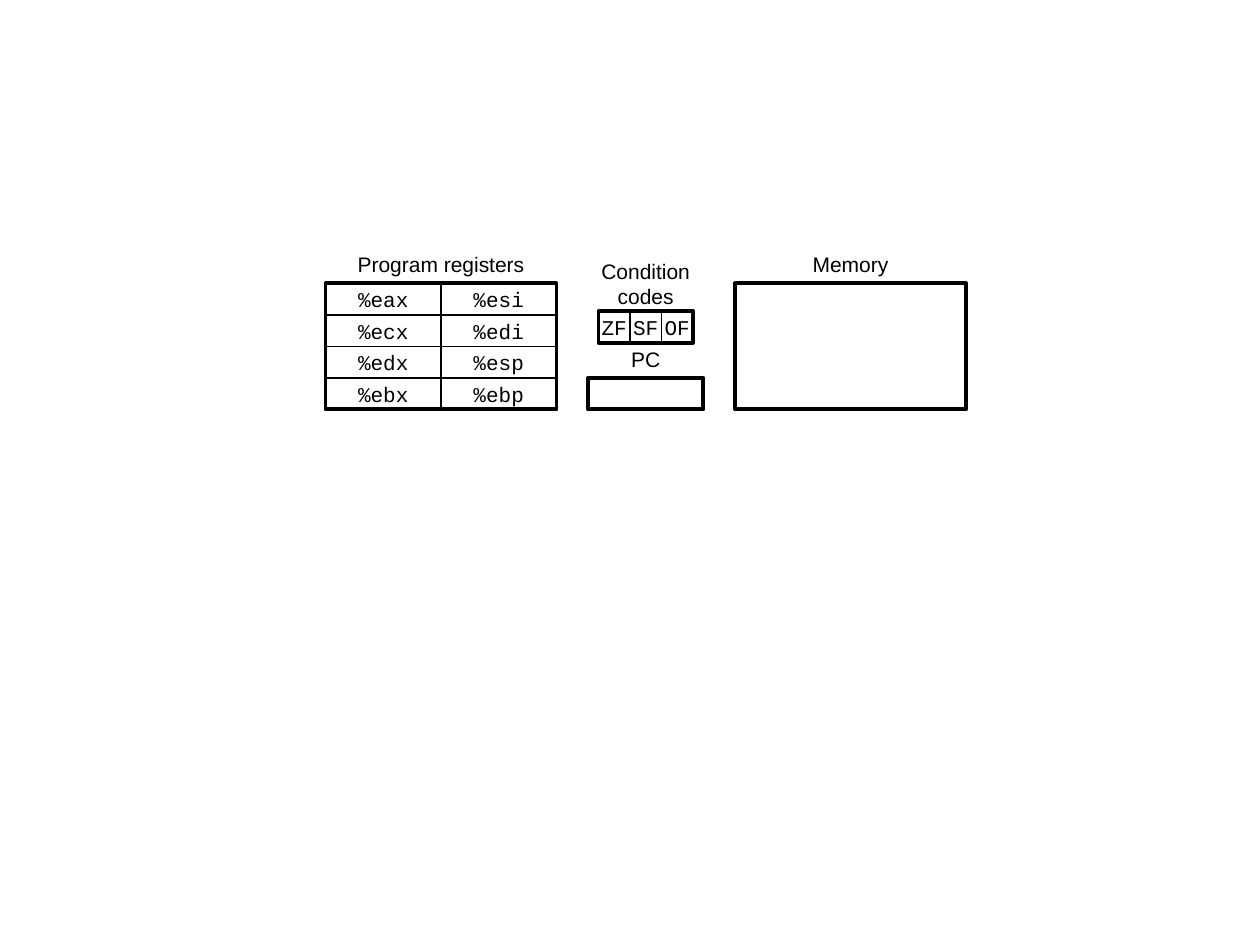
from pptx import Presentation
from pptx.dml.color import RGBColor
from pptx.enum.shapes import MSO_SHAPE
from pptx.enum.text import MSO_ANCHOR, MSO_AUTO_SIZE, PP_ALIGN
from pptx.util import Inches, Pt

COLUMN = 1 / 12
ROW = 1 / 4
LABEL_ROWS = 1.2
BLACK = "000000"
WHITE = "FFFFFF"
REGISTERS = [["%eax", "%ecx", "%edx", "%ebx"], ["%esi", "%edi", "%esp", "%ebp"]]
CONDITION_CODES = [["ZF"], ["SF"], ["OF"]]


def color(hex_code):
    """Turn a hex string into a colour."""
    return RGBColor.from_string(hex_code)


def area(column, row, columns, rows):
    """Turn grid units into left, top, width and height."""
    return (Inches(column * COLUMN), Inches(row * ROW),
            Inches(columns * COLUMN), Inches(rows * ROW))


def write(frame, text, font_name):
    """Put one centred run into a text frame."""
    paragraph = frame.paragraphs[0]
    paragraph.alignment = PP_ALIGN.CENTER
    run = paragraph.add_run()
    run.text = text
    run.font.name = font_name
    run.font.size = Pt(12)
    run.font.color.rgb = color(BLACK)


def add_box(shapes, place, line_width):
    """Add an unfilled black-edged rectangle."""
    box = shapes.add_shape(MSO_SHAPE.RECTANGLE, *place)
    box.shadow.inherit = False
    box.fill.background()
    box.line.color.rgb = color(BLACK)
    box.line.width = Pt(line_width)
    return box


def add_frame(shapes, place):
    """Add the heavy outline of a state element."""
    return add_box(shapes, place, 2.25)


def add_cell(shapes, place, name):
    """Add a thin white cell holding a register or flag name."""
    cell = add_box(shapes, place, 1)
    cell.fill.solid()
    cell.fill.fore_color.rgb = color(WHITE)
    cell.text_frame.word_wrap = False
    cell.text_frame.vertical_anchor = MSO_ANCHOR.MIDDLE
    write(cell.text_frame, name, "Courier New")


def add_bank(slide, column, row, cell_columns, names):
    """Group a grid of named cells, given column by column, in a frame."""
    bank = slide.shapes.add_group_shape().shapes
    for across, stack in enumerate(names):
        for down, name in enumerate(stack):
            place = area(column + across * cell_columns, row + down, cell_columns, 1)
            add_cell(bank, place, name)
    add_frame(bank, area(column, row, cell_columns * len(names), len(names[0])))


def add_label(slide, text, column, row, columns, rows=LABEL_ROWS):
    """Add a centred caption above a state element."""
    label = slide.shapes.add_textbox(*area(column, row, columns, rows))
    label.text_frame.word_wrap = True
    label.text_frame.auto_size = MSO_AUTO_SIZE.SHAPE_TO_FIT_TEXT
    write(label.text_frame, text, "Arial")


def main():
    """Build the slide of the programmer-visible state."""
    deck = Presentation()
    deck.slide_width, deck.slide_height = Inches(10), Inches(7.5)
    slide = deck.slides.add_slide(deck.slide_layouts[6])

    add_bank(slide, 31, 9, 11, REGISTERS)
    add_label(slide, "Program registers", 31, 9 - LABEL_ROWS, 22)
    add_bank(slide, 57, 9.88, 3, CONDITION_CODES)
    add_label(slide, "Condition codes", 56, 8, 11, 2)
    add_frame(slide.shapes, area(56, 12, 11, 1))
    add_label(slide, "PC", 56, 12 - LABEL_ROWS, 11)
    add_frame(slide.shapes, area(70, 9, 22, 4))
    add_label(slide, "Memory", 70, 9 - LABEL_ROWS, 22)

    deck.save("out.pptx")


if __name__ == "__main__":
    main()
